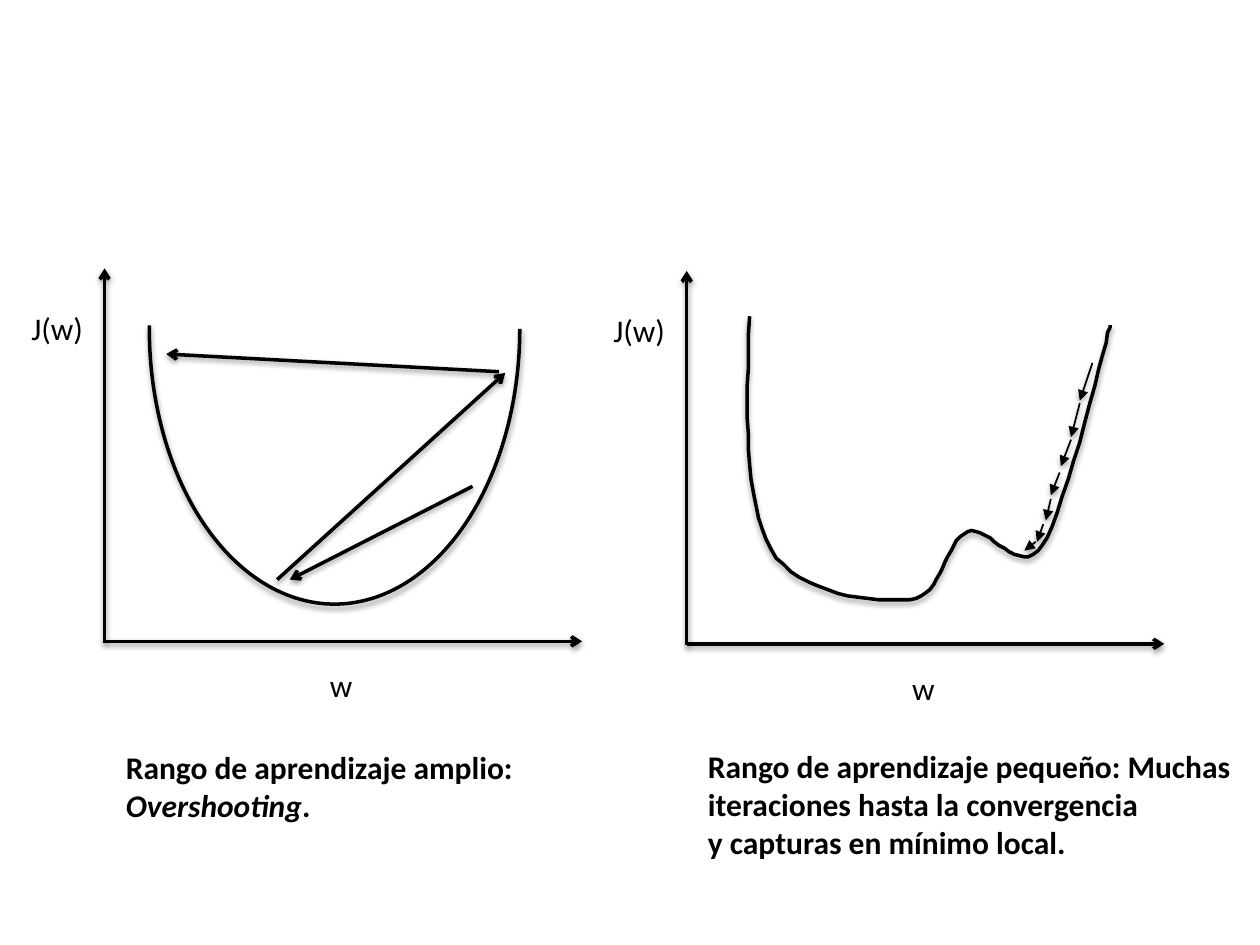
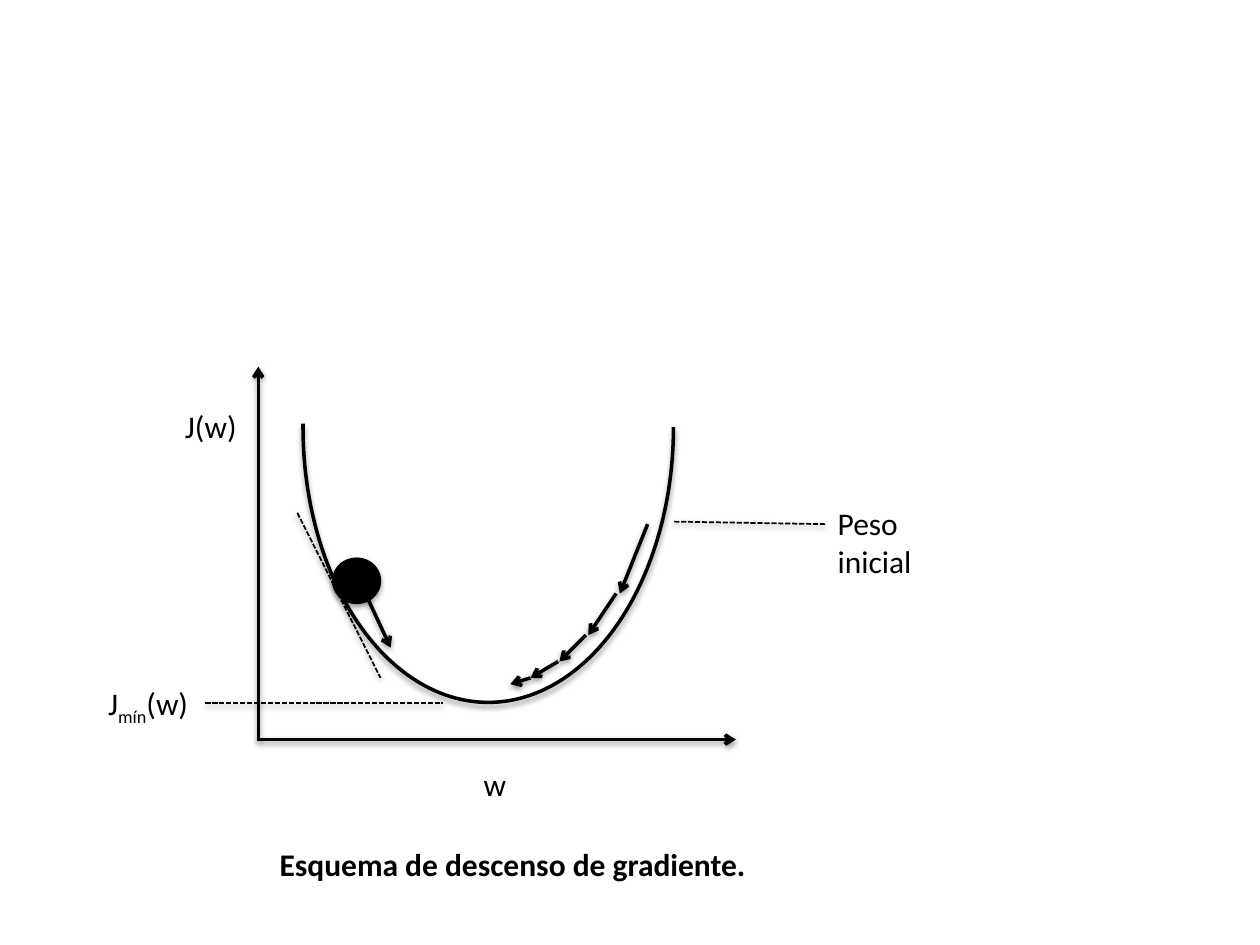
from dataclasses import dataclass

from lxml.etree import SubElement
from pptx import Presentation
from pptx.dml.color import RGBColor
from pptx.enum.dml import MSO_LINE
from pptx.enum.shapes import MSO_CONNECTOR, MSO_SHAPE
from pptx.enum.text import MSO_AUTO_SIZE
from pptx.oxml.ns import qn
from pptx.util import Pt

EMU_PER_PX = 9144  # 100 px to the inch


@dataclass(frozen=True)
class Theme:
    ink: RGBColor = RGBColor(0, 0, 0)
    font: str = "Calibri"
    text_size: int = 18
    thick: float = 2
    thin: float = 1
    outline: float = 0.75
    shadow_alpha: int = 38
    shadow_distance: int = 20000
    shadow_blur: int = 40000


def px(value):
    return round(value * EMU_PER_PX)


def bezier(points, steps=16):
    """Sample a chain of cubic curves: a start point, then three points per curve."""
    samples = [points[0]]
    for first in range(0, len(points) - 1, 3):
        a, b, c, d = points[first:first + 4]
        for step in range(1, steps + 1):
            t = step / steps
            weights = ((1 - t) ** 3, 3 * t * (1 - t) ** 2, 3 * t * t * (1 - t), t ** 3)
            samples.append(tuple(
                sum(w * point[axis] for w, point in zip(weights, (a, b, c, d)))
                for axis in (0, 1)))
    return samples


class Sketch:
    def __init__(self, deck, theme):
        self.deck = deck
        self.theme = theme
        self.page = None

    def new_page(self):
        self.page = self.deck.slides.add_slide(self.deck.slide_layouts[6])

    def stroke(self, line, width):
        line.color.rgb = self.theme.ink
        line.width = Pt(width)

    def cast_shadow(self, effects):
        shadow = SubElement(
            effects, qn("a:outerShdw"), blurRad=str(self.theme.shadow_blur),
            dist=str(self.theme.shadow_distance), dir="5400000", rotWithShape="0")
        color = SubElement(shadow, qn("a:srgbClr"), val=str(self.theme.ink))
        SubElement(color, qn("a:alpha"), val=str(self.theme.shadow_alpha * 1000))

    def finish(self, shape, width, filled=False):
        """Give a shape its outline, fill and soft shadow."""
        if filled:
            shape.fill.solid()
            shape.fill.fore_color.rgb = self.theme.ink
        else:
            shape.fill.background()
        self.stroke(shape.line, width)
        shape.shadow.inherit = False
        self.cast_shadow(shape._element.spPr.find(qn("a:effectLst")))

    def line(self, start, end, width=None, tip=None, dashed=False):
        connector = self.page.shapes.add_connector(
            MSO_CONNECTOR.STRAIGHT, *map(px, (*start, *end)))
        self.stroke(connector.line, width or self.theme.thick)
        if dashed:
            connector.line.dash_style = MSO_LINE.SQUARE_DOT
        properties = connector._element.spPr
        if tip:
            SubElement(properties.find(qn("a:ln")), qn("a:tailEnd"), type=tip)
        self.cast_shadow(SubElement(properties, qn("a:effectLst")))

    def arrow(self, start, end):
        self.line(start, end, tip="arrow")

    def small_arrow(self, start, end):
        self.line(start, end, self.theme.thin, "triangle")

    def guide(self, start, end):
        self.line(start, end, self.theme.thin, dashed=True)

    def ball(self, left, top, width, height):
        ball = self.page.shapes.add_shape(
            MSO_SHAPE.OVAL, *map(px, (left, top, width, height)))
        self.finish(ball, self.theme.outline, filled=True)

    def bowl(self, origin):
        """Draw the convex cost curve: a half ellipse turned to open upwards."""
        x, y = origin
        arc = self.page.shapes.add_shape(
            MSO_SHAPE.ARC, *map(px, (x - 36, y - 395, 437, 294)))
        arc.rotation = 90
        arc.adjustments[0] = 162
        arc.adjustments[1] = 54.637
        self.finish(arc, self.theme.thick)

    def curve(self, points):
        start, *rest = bezier(points)
        builder = self.page.shapes.build_freeform(*start, scale=EMU_PER_PX)
        builder.add_line_segments(rest, close=False)
        self.finish(builder.convert_to_shape(), self.theme.thick)

    def text(self, left, top, spans, width=103, height=40, bold=False):
        """Write spans of (text, style); the style is "", "italic", "sub" or "break"."""
        box = self.page.shapes.add_textbox(*map(px, (left, top, width, height)))
        frame = box.text_frame
        frame.word_wrap = True
        frame.auto_size = MSO_AUTO_SIZE.SHAPE_TO_FIT_TEXT
        para = frame.paragraphs[0]
        for words, style in spans:
            span = para.add_run()
            span.text = words
            font = span.font
            font.name = self.theme.font
            font.size = Pt(self.theme.text_size)
            font.color.rgb = self.theme.ink
            font.bold = bold
            font.italic = style == "italic"
            if style == "sub":
                font._element.set("baseline", "-25000")
            if style == "break":
                para.add_line_break()

    def axes(self, origin):
        x, y = origin
        self.arrow((x, y + 1), (x, y - 296))
        self.arrow(origin, (x + 379, y))
        self.text(x - 68, y - 269, [("J(w)", "")])
        self.text(x + 169, y + 15, [("w", "")])

    def caption(self, origin, drop, spans, height):
        x, y = origin
        self.text(x + 7, y + drop, spans, 531, height, bold=True)


def learning_rates(sketch):
    sketch.new_page()
    wide, small = (83, 509), (545, 511)

    sketch.axes(wide)
    sketch.bowl(wide)
    overshoots = [((375, 386), (230, 460)), ((220, 460), (401, 296)),
                  ((396, 295), (132, 281))]
    for start, end in overshoots:
        sketch.arrow(start, end)
    sketch.caption(wide, 80, [("Rango de aprendizaje amplio:", "break"),
                              ("Overshooting", "italic"), (".", "")], 71)

    sketch.axes(small)
    short_steps = [((867, 288), (857, 318)), ((857, 320), (850, 347)),
                   ((850, 349), (842, 370)), ((841, 375), (834, 393)),
                   ((834, 396), (830, 413)), ((828, 416), (823, 430)),
                   ((822, 430), (813, 437))]
    for start, end in short_steps:
        sketch.small_arrow(start, end)
    sketch.caption(small, 77, [
        ("Rango de aprendizaje pequeño: Muchas iteraciones hasta la convergencia", "break"),
        ("y capturas en mínimo local.", "")], 131)
    sketch.curve([(595, 251), (592, 325), (590, 398), (612, 436),
                  (633, 473), (696, 478), (722, 476),
                  (748, 474), (750, 429), (768, 422),
                  (785, 415), (809, 461), (827, 433),
                  (846, 406), (881, 258), (881, 258)])


def gradient_descent(sketch):
    sketch.new_page()
    origin = (205, 587)
    sketch.axes(origin)
    sketch.text(76, 538, [("J", ""), ("mín", "sub"), ("(w)", "")])
    sketch.guide((163, 558), (352, 558))
    sketch.guide((236, 407), (302, 538))
    sketch.bowl(origin)
    sketch.ball(264, 443, 38, 36)
    sketch.arrow((290, 471), (310, 514))
    descent = [((514, 416), (492, 471)), ((489, 471), (467, 504)),
               ((465, 504), (444, 525)), ((443, 525), (421, 538)),
               ((421, 538), (405, 543))]
    for start, end in descent:
        sketch.arrow(start, end)
    sketch.caption(origin, 79, [("Esquema de descenso de gradiente.", "")], 40)
    sketch.guide((535, 414), (655, 416))
    sketch.text(655, 395, [("Peso inicial", "")], height=71)


def main():
    deck = Presentation()
    deck.slide_width, deck.slide_height = px(1000), px(750)
    sketch = Sketch(deck, Theme())
    learning_rates(sketch)
    gradient_descent(sketch)
    deck.save("out.pptx")


if __name__ == "__main__":
    main()
